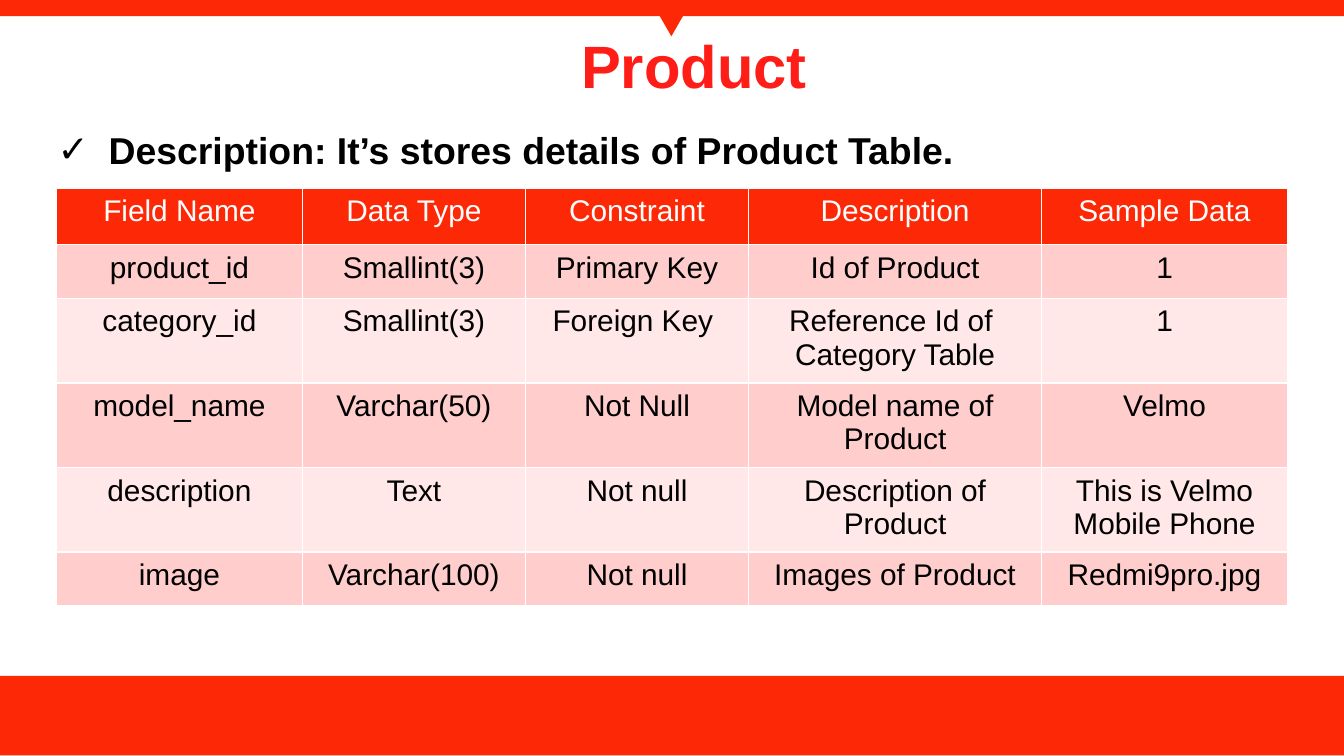
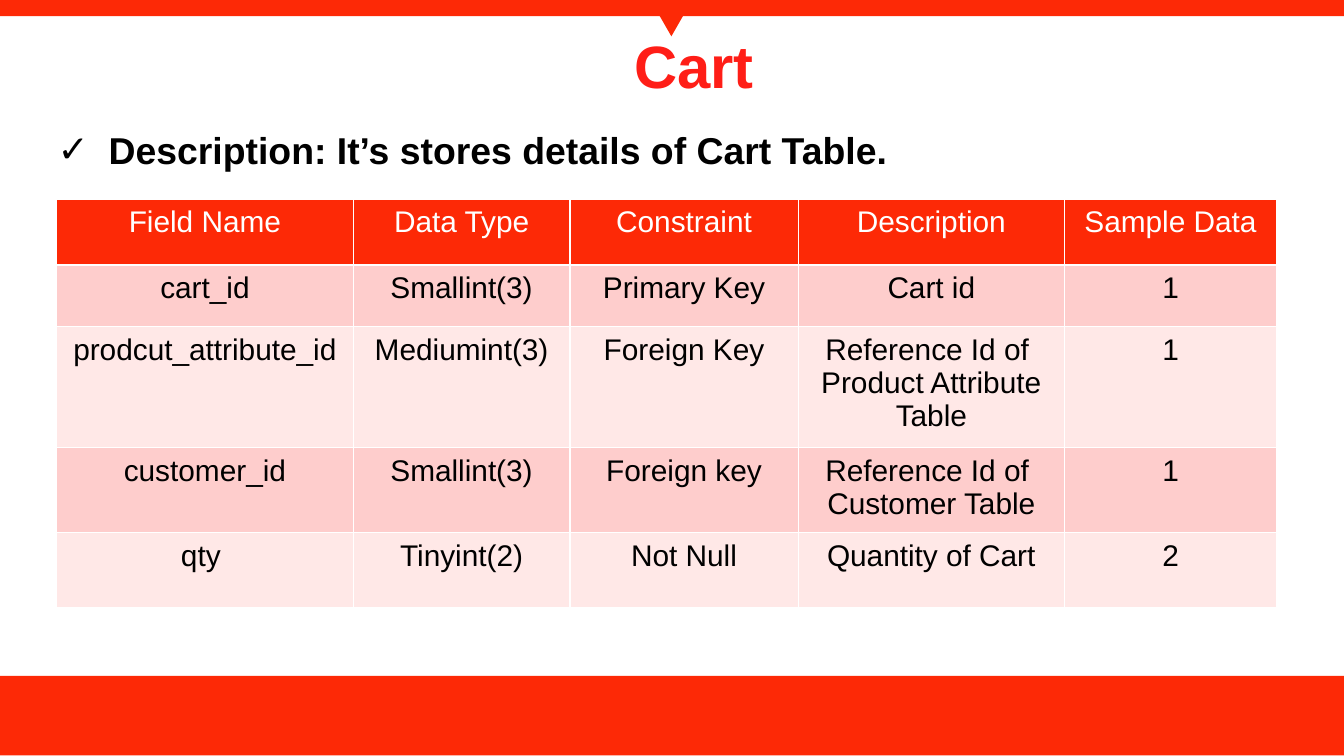
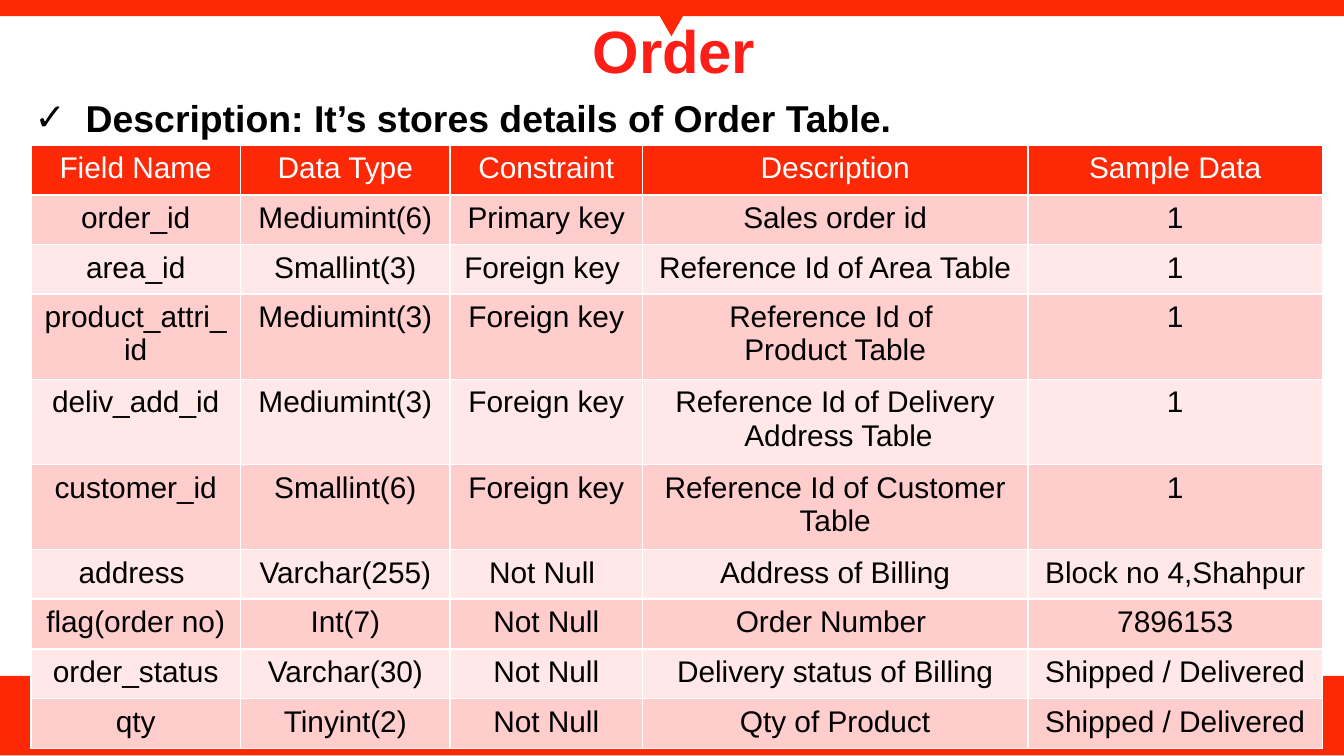
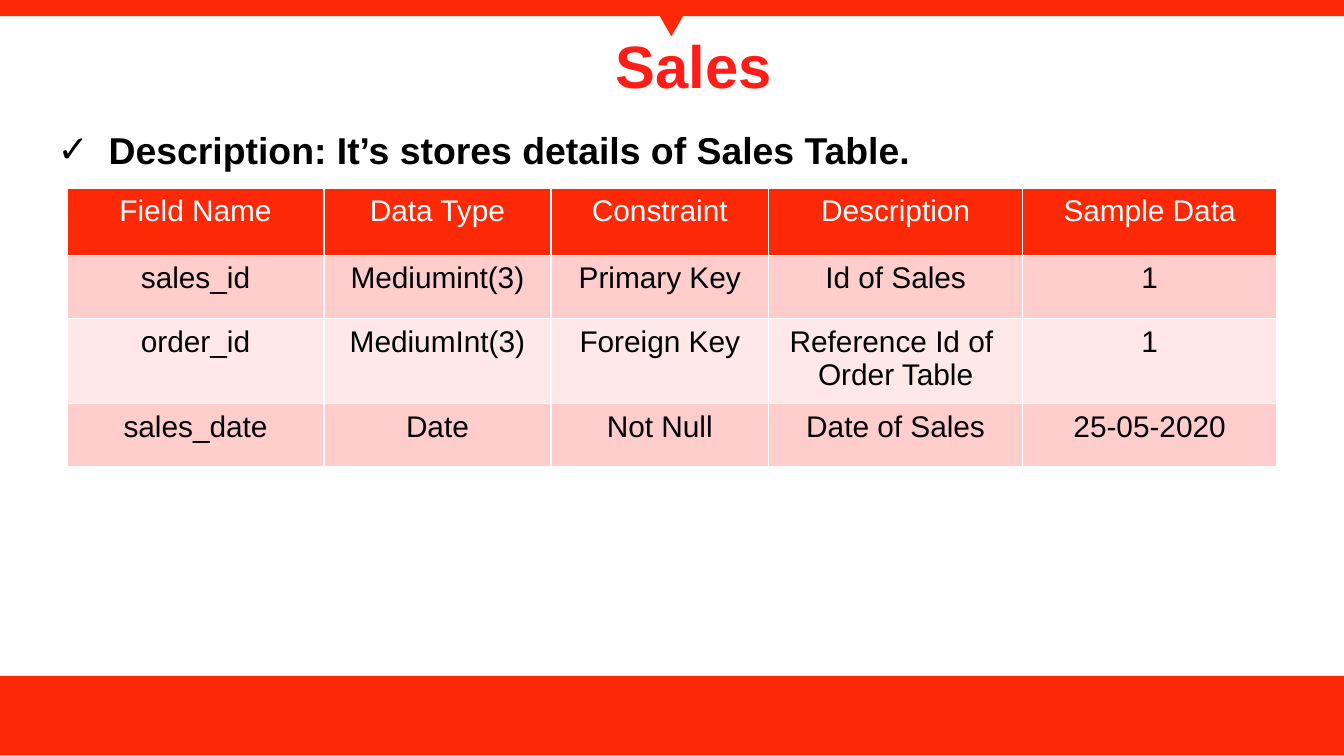
from lxml import etree
from pptx import Presentation
from pptx.dml.color import RGBColor
from pptx.enum import shapes, text
from pptx.oxml import ns
from pptx.util import Inches, Pt

COLORS = {"band": "FD2906", "title": "FF1E17", "text": "000000", "white": "FFFFFF",
          "dark row": "FECDCC", "light row": "FFE8E7"}
FONTS = {
    "title": {"name": "Arial", "size": Pt(32), "bold": True},
    "description": {"name": "Arial", "size": Pt(20), "bold": True},
    "cell": {"name": "Arial", "size": Pt(16), "bold": False},
}
BANDS = [
    (shapes.MSO_SHAPE.RECTANGLE, 0, 5.03, 10, 0.59, 0),
    (shapes.MSO_SHAPE.RECTANGLE, 0, 0, 10, 0.12, 0),
    (shapes.MSO_SHAPE.ISOSCELES_TRIANGLE, 4.84, 0, 0.31, 0.27, 180),
]
HEADER = ("Field Name", "Data Type", "Constraint", "Description", "Sample Data")
TITLE_AT, DESCRIPTION_AT = (0.33, 0.23), (0.33, 0.9)

SLIDES = [
    {"name": "Product", "table_at": (0.42, 1.4),
     "cols": [1.83, 1.66, 1.66, 2.18, 1.83],
     "heights": [0.42, 0.4, 0.63, 0.63, 0.63, 0.4],
     "rows": [
         ("product_id", "Smallint(3)", "Primary Key", "Id of Product", "1"),
         ("category_id", "Smallint(3)", "Foreign Key ",
          "Reference Id of \nCategory Table", "1"),
         ("model_name", "Varchar(50)", "Not Null", "Model name of Product", "Velmo"),
         ("description", "Text", "Not null", "Description of Product",
          "This is Velmo Mobile Phone"),
         ("image", "Varchar(100)", "Not null", "Images of Product", "Redmi9pro.jpg"),
     ]},
    {"name": "Cart", "table_at": (0.42, 1.48),
     "cols": [2.21, 1.61, 1.7, 1.98, 1.58],
     "heights": [0.49, 0.46, 0.9, 0.63, 0.56],
     "rows": [
         ("cart_id", "Smallint(3)", "Primary Key", "Cart id", "1"),
         ("prodcut_attribute_id", "Mediumint(3)", "Foreign Key",
          "Reference Id of \nProduct Attribute\nTable", "1"),
         ("customer_id", "Smallint(3)", "Foreign key",
          "Reference Id of \nCustomer Table", "1"),
         ("qty ", "Tinyint(2)", "Not Null", "Quantity of Cart", "2"),
     ]},
    {"name": "Order", "table_at": (0.23, 1.08),
     "title_at": (0.18, 0.12), "description_at": (0.16, 0.66),
     "cols": [1.56, 1.56, 1.43, 2.87, 2.19],
     "heights": [0.37] * 3 + [0.63] * 3 + [0.37] * 4,
     "rows": [
         ("order_id", "Mediumint(6)", "Primary key", "Sales order id", "1"),
         ("area_id", "Smallint(3)", "Foreign key ", "Reference Id of Area Table", "1"),
         ("product_attri_id", "Mediumint(3)", "Foreign key",
          "Reference Id of \nProduct Table", "1"),
         ("deliv_add_id", "Mediumint(3)", "Foreign key",
          "Reference Id of Delivery\n Address Table", "1"),
         ("customer_id", "Smallint(6)", "Foreign key",
          "Reference Id of Customer Table", "1"),
         ("address ", "Varchar(255)", "Not Null ", "Address of Billing",
          "Block no 4,Shahpur"),
         ("flag(order no)", "Int(7)", "Not Null", "Order Number ", "7896153"),
         ("order_status", "Varchar(30)", "Not Null", "Delivery status of Billing",
          "Shipped / Delivered"),
         ("qty", "Tinyint(2)", "Not Null", "Qty of Product", "Shipped / Delivered"),
     ]},
    {"name": "Sales", "table_at": (0.5, 1.4),
     "cols": [1.91, 1.69, 1.62, 1.89, 1.89],
     "heights": [0.5, 0.47, 0.63, 0.47],
     "rows": [
         ("sales_id", "Mediumint(3)", "Primary Key", "Id of Sales", "1"),
         ("order_id", "MediumInt(3)", "Foreign Key",
          "Reference Id of \nOrder Table", "1"),
         ("sales_date", "Date", "Not Null", "Date of Sales", "25-05-2020"),
     ]},
]


def write(tf, content, style, color, align):
    """Fill a text frame, one paragraph per line, in one of the FONTS."""
    tf.text = content
    for p in tf.paragraphs:
        p.alignment = align
        for r in p.runs:
            for key, value in FONTS[style].items():
                setattr(r.font, key, value)
            r.font.color.rgb = RGBColor.from_string(COLORS[color])


def add_borders(cell):
    """Draw thin white lines on all four sides of a cell."""
    tc_pr = cell._tc.get_or_add_tcPr()
    for side in "LRTB":
        ln = etree.SubElement(tc_pr, ns.qn(f"a:ln{side}"), w=str(Pt(1)))
        fill = etree.SubElement(ln, ns.qn("a:solidFill"))
        etree.SubElement(fill, ns.qn("a:srgbClr"), val=COLORS["white"])


prs = Presentation()
prs.slide_width, prs.slide_height = Inches(10), Inches(10) * 9 // 16

for page in SLIDES:
    s = prs.slides.add_slide(prs.slide_layouts[6])

    for kind, left, top, width, height, rotation in BANDS:
        sp = s.shapes.add_shape(kind, Inches(left), Inches(top), Inches(width), Inches(height))
        sp.rotation = rotation
        sp.shadow.inherit = False
        sp.fill.solid()
        sp.fill.fore_color.rgb = RGBColor.from_string(COLORS["band"])
        sp.line.fill.background()

    rows = [HEADER] + page["rows"]
    left, top = page["table_at"]
    table = s.shapes.add_table(len(rows), len(HEADER), Inches(left), Inches(top),
                               Inches(sum(page["cols"])), Inches(sum(page["heights"]))).table
    for column, width in zip(table.columns, page["cols"]):
        column.width = Inches(width)
    for i, (row, height, values) in enumerate(zip(table.rows, page["heights"], rows)):
        row.height = Inches(height)
        fill = "band" if i == 0 else "dark row" if i % 2 else "light row"
        for cell, value in zip(row.cells, values):
            add_borders(cell)
            cell.fill.solid()
            cell.fill.fore_color.rgb = RGBColor.from_string(COLORS[fill])
            write(cell.text_frame, value, "cell", "text" if i else "white",
                  text.PP_ALIGN.CENTER)

    left, top = page.get("title_at", TITLE_AT)
    tf = s.shapes.add_textbox(Inches(left), Inches(top), Inches(9.67), Inches(0.5)).text_frame
    tf.word_wrap = True
    tf.vertical_anchor = text.MSO_ANCHOR.MIDDLE
    write(tf, page["name"], "title", "title", text.PP_ALIGN.CENTER)

    left, top = page.get("description_at", DESCRIPTION_AT)
    tf = s.shapes.add_textbox(Inches(left), Inches(top), Inches(8.33), Inches(0.44)).text_frame
    tf.word_wrap = True
    tf.auto_size = text.MSO_AUTO_SIZE.SHAPE_TO_FIT_TEXT
    write(tf, f"Description: It’s stores details of {page['name']} Table.",
          "description", "text", text.PP_ALIGN.LEFT)
    p_pr = tf.paragraphs[0]._p.get_or_add_pPr()
    p_pr.set("marL", str(Inches(0.38)))
    p_pr.set("indent", str(-Inches(0.38)))
    etree.SubElement(p_pr, ns.qn("a:buFont"), typeface="Arial")
    etree.SubElement(p_pr, ns.qn("a:buChar"), char="✓")

prs.save("out.pptx")
